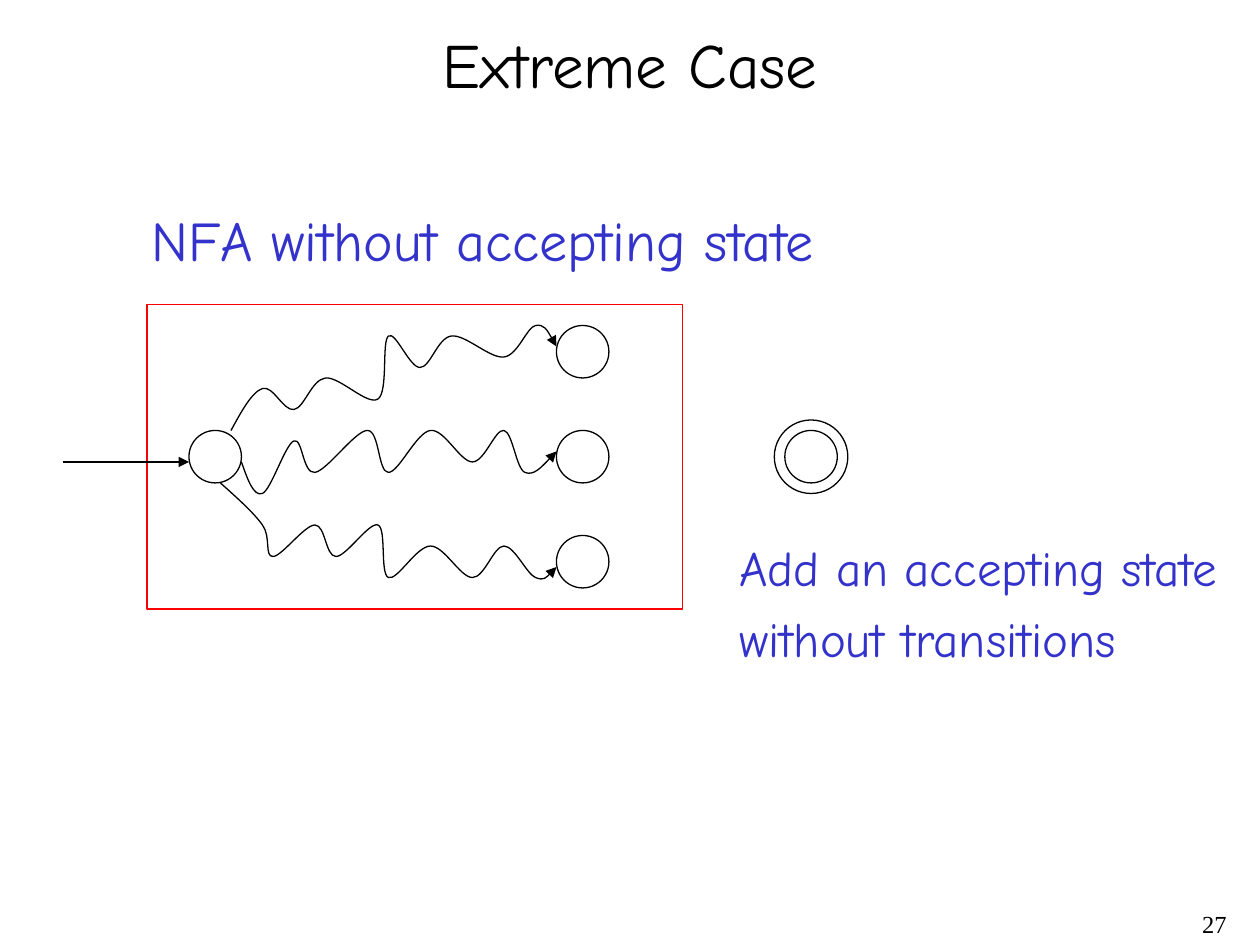
from lxml import etree
from pptx import Presentation
from pptx.dml.color import RGBColor
from pptx.enum.shapes import MSO_CONNECTOR, MSO_SHAPE
from pptx.enum.text import MSO_ANCHOR, PP_ALIGN
from pptx.oxml.ns import qn
from pptx.util import Emu, Pt

LEFT, CENTER, RIGHT = PP_ALIGN.LEFT, PP_ALIGN.CENTER, PP_ALIGN.RIGHT
TOP, MIDDLE = MSO_ANCHOR.TOP, MSO_ANCHOR.MIDDLE
OVAL, RECTANGLE = MSO_SHAPE.OVAL, MSO_SHAPE.RECTANGLE

PX = 9525  # EMU per px, 96 px to the inch
GRID = 8   # px per step of the drawing grid
BLACK, RED, BLUE = "000000", "FF0000", "3333CC"
COMIC, TIMES = "Comic Neue", "Times New Roman"

# lines, (left, top, width, height), size, font, colour, align, anchor, space before, wrap
TEXTS = [
    (["27"], (744, 688, 200, 32), 14, TIMES, BLACK, RIGHT, TOP, 0, True),
    (["Extreme Case"], (16, 16, 928, 64), 36, COMIC, BLACK, CENTER, MIDDLE, 0, True),
    (["NFA without accepting state"], (106, 152, 527, 61), 32, COMIC, BLUE,
     LEFT, TOP, 0, False),
    (["Add an accepting state", "without transitions"], (554, 405, 385, 108), 28,
     COMIC, BLUE, LEFT, TOP, 7, False),
]
AUTOMATON = (112, 232, 408, 232)
STATE = 40
START_STATE = (144, 328)
END_STATES = [(424, top) for top in (248, 328, 408)]
ACCEPTING_CENTER, ACCEPTING_SIZES = (618, 348), (STATE, 56)
START_ARROW = (48, 352, 144, 352)
# Knots of the wavy transitions, in grid steps
WAVES = [
    [(22, 41), (25, 37), (28, 39), (31, 36), (36, 38), (37, 32), (40, 35),
     (43, 32), (48, 34), (51, 31), (53, 33)],
    [(23, 44), (25, 47), (28, 42), (30, 45), (35, 41), (37, 45), (41, 41),
     (45, 44), (48, 41), (50, 45), (53, 43)],
    [(21, 46), (25, 50), (26, 53), (30, 50), (32, 53), (36, 50), (37, 55),
     (41, 52), (45, 55), (48, 52), (51, 55), (53, 54)],
]


def px(*lengths):
    return [Emu(round(length * PX)) for length in lengths]


def color(value):
    return RGBColor.from_string(value)


def add_text(page, lines, place, size, font, ink, align, anchor, before, wrap):
    frame = page.shapes.add_textbox(*px(*place)).text_frame
    frame.word_wrap = wrap
    frame.vertical_anchor = anchor
    frame.text = "\n".join(lines)
    for index, para in enumerate(frame.paragraphs):
        para.alignment = align
        if index:
            para.space_before = Pt(before)
        for span in para.runs:
            span.font.size = Pt(size)
            span.font.name = font
            span.font.color.rgb = color(ink)


def outline(shape, ink=BLACK):
    shape.line.color.rgb = color(ink)
    shape.line.width = Pt(0.75)


def add_outline(page, kind, place, ink=BLACK):
    shape = page.shapes.add_shape(kind, *px(*place))
    shape.shadow.inherit = False
    shape.fill.background()
    outline(shape, ink)


def add_arrowhead(shape):
    line = shape.line._get_or_add_ln()
    etree.SubElement(line, qn("a:tailEnd"), type="triangle")


def midpoint(a, b):
    return (a[0] + b[0]) / 2, (a[1] + b[1]) / 2


def smooth_segments(knots):
    """Cubic segments through the knots, each tangent parallel to its neighbours' chord."""
    tangents = [((c[0] - a[0]) / 6, (c[1] - a[1]) / 6) for a, c in zip(knots, knots[2:])]
    inner = knots[1:-1]
    arriving = [(x - dx, y - dy) for (x, y), (dx, dy) in zip(inner, tangents)]
    leaving = [(x + dx, y + dy) for (x, y), (dx, dy) in zip(inner, tangents)]
    leaving.insert(0, midpoint(knots[0], arriving[0]))
    arriving.append(midpoint(knots[-1], leaving[-1]))
    return zip(leaving, arriving, knots[1:])


def add_wave(page, steps):
    knots = [tuple(px(x * GRID, y * GRID)) for x, y in steps]
    builder = page.shapes.build_freeform(*knots[0], scale=1.0)
    builder.add_line_segments(knots[1:], close=False)
    wave = builder.convert_to_shape()
    wave.shadow.inherit = False
    wave.fill.background()
    outline(wave)
    add_arrowhead(wave)
    # Turn the straight segments into curves
    route = wave._element.find(".//" + qn("a:path"))
    for segment in route.findall(qn("a:lnTo")):
        route.remove(segment)
    for points in smooth_segments(knots):
        curve = etree.SubElement(route, qn("a:cubicBezTo"))
        for x, y in points:
            etree.SubElement(curve, qn("a:pt"), x=str(round(x - wave.left)),
                             y=str(round(y - wave.top)))


def main():
    deck = Presentation()
    deck.slide_width, deck.slide_height = px(960, 720)
    page = deck.slides.add_slide(deck.slide_layouts[6])

    # Automaton frame and states
    add_outline(page, RECTANGLE, AUTOMATON, RED)
    for corner in [START_STATE] + END_STATES:
        add_outline(page, OVAL, (*corner, STATE, STATE))

    # Start arrow and transitions
    arrow = page.shapes.add_connector(MSO_CONNECTOR.STRAIGHT, *px(*START_ARROW))
    outline(arrow)
    add_arrowhead(arrow)
    etree.SubElement(arrow._element.spPr, qn("a:effectLst"))
    for steps in WAVES:
        add_wave(page, steps)

    # Added accepting state
    x, y = ACCEPTING_CENTER
    for size in ACCEPTING_SIZES:
        add_outline(page, OVAL, (x - size / 2, y - size / 2, size, size))

    # Title, captions and page number
    for text in TEXTS:
        add_text(page, *text)

    deck.save("out.pptx")


if __name__ == "__main__":
    main()
